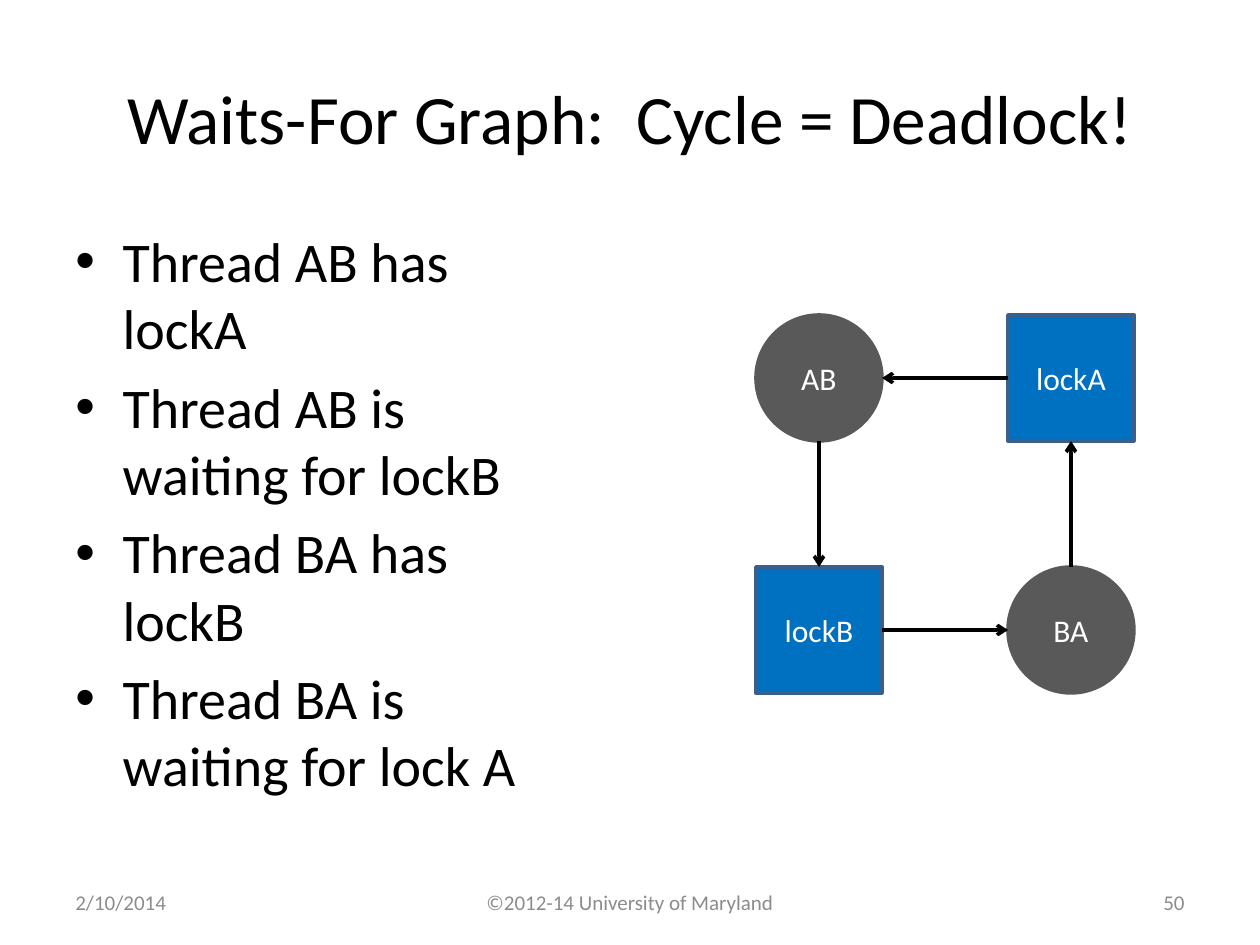
from dataclasses import dataclass

from lxml.etree import SubElement as Sub
from pptx import Presentation
from pptx.dml.color import RGBColor
from pptx.enum.shapes import MSO_CONNECTOR as Link, MSO_SHAPE as Kind
from pptx.enum.text import MSO_ANCHOR as Anchor, PP_ALIGN as Align
from pptx.oxml.ns import qn
from pptx.util import Inches, Pt

WIDE, HIGH = Inches(10), Inches(7.5)
CELL = Inches(1)
LEFT, TOP = Inches(6), Inches(2.5)
BLACK, WHITE, GREY = "000000", "FFFFFF", "8C8C8C"


@dataclass(frozen=True)
class Node:
    """A thread or a lock, placed by column and row of the graph's grid."""
    name: str
    col: int
    row: int
    kind: Kind
    fill: str
    edge: str


def lock(name: str, col: int, row: int) -> Node:
    """Return a lock node."""
    return Node(name, col, row, Kind.RECTANGLE, "0070C0", "3A5F8C")


def thread(name: str, col: int, row: int) -> Node:
    """Return a thread node."""
    return Node(name, col, row, Kind.OVAL, "595959", "595959")


CYCLE = [lock("lockA", 2, 0), thread("AB", 0, 0),
         lock("lockB", 0, 2), thread("BA", 2, 2)]
POINTS = ["Thread AB has lockA", "Thread AB is waiting for lockB",
          "Thread BA has lockB", "Thread BA is waiting for lock A"]


def paint(form, tone: str) -> None:
    """Set a solid colour on a fill."""
    form.solid()
    form.fore_color.rgb = RGBColor.from_string(tone)


def write(frame, *lines: str, size: float, tone: str = BLACK,
          align=Align.LEFT, anchor=Anchor.MIDDLE, bullet: bool = False) -> None:
    """Fill a text frame with one paragraph per line."""
    frame.word_wrap = True
    frame.vertical_anchor = anchor
    for i, line in enumerate(lines):
        para = frame.add_paragraph() if i else frame.paragraphs[0]
        para.alignment = align
        run = para.add_run()
        run.text = line
        run.font.size, run.font.name = Pt(size), "Calibri"
        paint(run.font.fill, tone)
        if bullet:
            para.space_before = Pt(size * 0.2)
            props = para._p.get_or_add_pPr()
            props.set("marL", str(Inches(0.375)))
            props.set("indent", str(-Inches(0.375)))
            Sub(props, qn("a:buFont")).set("typeface", "Arial")
            Sub(props, qn("a:buChar")).set("char", "•")


def label(slide, x: float, y: float, w: float, h: float, *lines: str, **form) -> None:
    """Add a text box at shares of the slide's size."""
    box = slide.shapes.add_textbox(int(x * WIDE), int(y * HIGH),
                                   int(w * WIDE), int(h * HIGH))
    write(box.text_frame, *lines, **form)


def draw(slide, node: Node) -> None:
    """Add a node to the slide."""
    shape = slide.shapes.add_shape(node.kind, LEFT + node.col * CELL,
                                   TOP + node.row * CELL, CELL, CELL)
    shape.shadow.inherit = False
    paint(shape.fill, node.fill)
    paint(shape.line.fill, node.edge)
    shape.line.width = Pt(2)
    write(shape.text_frame, node.name, size=18, tone=WHITE, align=Align.CENTER)


def port(node: Node, other: Node) -> tuple[int, int]:
    """Return the middle of the side of a node that faces another, two cells off."""
    col = node.col + 0.5 + (other.col - node.col) / 4
    row = node.row + 0.5 + (other.row - node.row) / 4
    return int(LEFT + col * CELL), int(TOP + row * CELL)


def join(slide, start: Node, end: Node) -> None:
    """Add an arrow from one node to the next."""
    arrow = slide.shapes.add_connector(Link.STRAIGHT, *port(start, end),
                                       *port(end, start))
    paint(arrow.line.fill, BLACK)
    arrow.line.width = Pt(2)
    Sub(arrow.line._get_or_add_ln(), qn("a:tailEnd")).set("type", "arrow")
    Sub(arrow._element.spPr, qn("a:effectLst"))


def main() -> None:
    """Build the slide and save it."""
    deck = Presentation()
    deck.slide_width, deck.slide_height = WIDE, HIGH
    slide = deck.slides.add_slide(deck.slide_layouts[6])
    label(slide, 0.05, 0.04, 0.9, 1 / 6, "Waits-For Graph:  Cycle = Deadlock!",
          size=39.6, align=Align.CENTER)
    label(slide, 0.05, 0.7 / 3, 0.41, 0.66, *POINTS, size=32,
          anchor=Anchor.TOP, bullet=True)
    for node in CYCLE:
        draw(slide, node)
    for start, end in zip(CYCLE, CYCLE[1:] + CYCLE[:1]):
        join(slide, start, end)
    for x, w, text, align in [
            (0.05, 0.23, "2/10/2014", Align.LEFT),
            (0.34, 0.32, "©2012-14 University of Maryland", Align.CENTER),
            (0.72, 0.23, "50", Align.RIGHT)]:
        label(slide, x, 0.93, w, 0.05, text, size=12, tone=GREY, align=align)
    deck.save("out.pptx")


if __name__ == "__main__":
    main()
